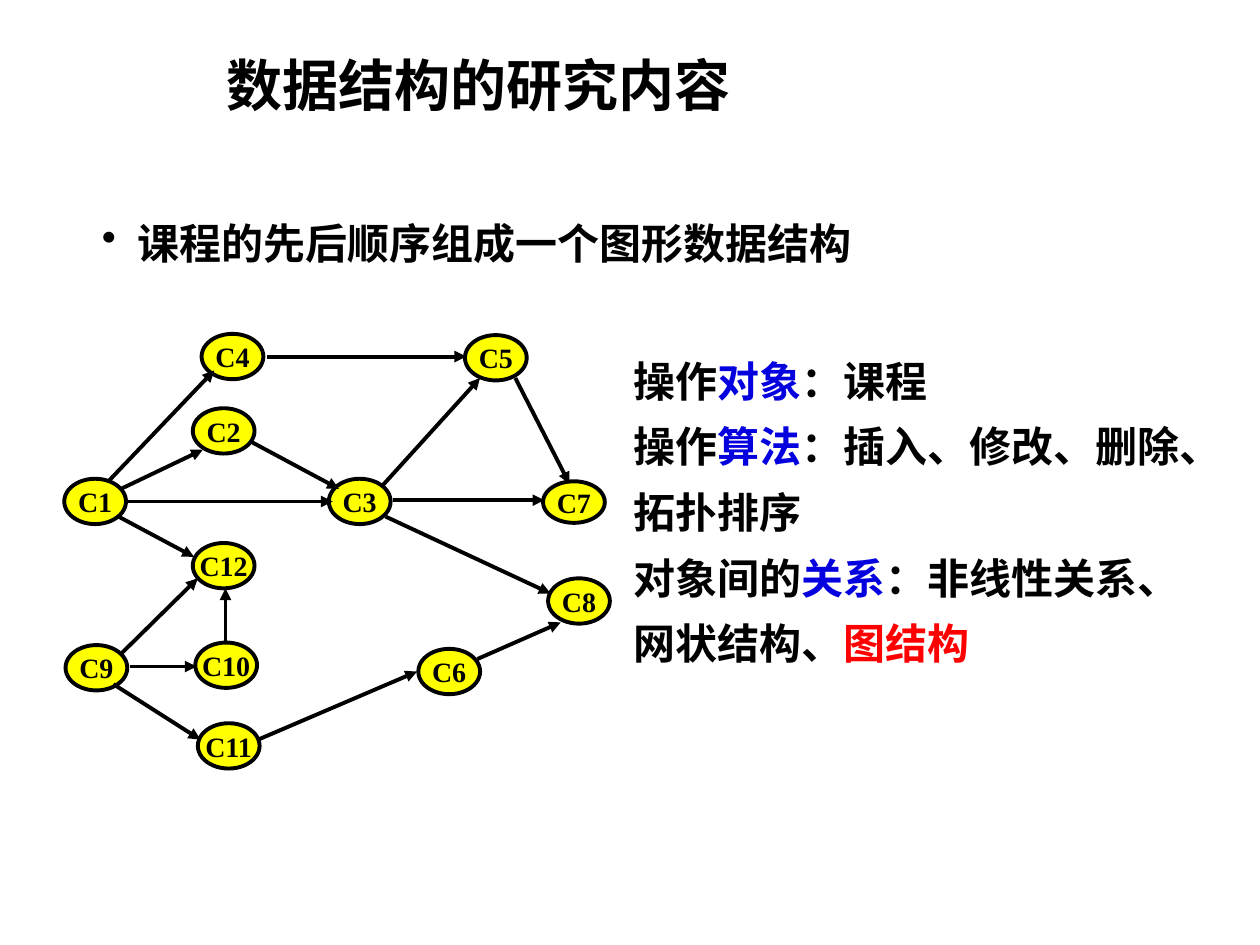
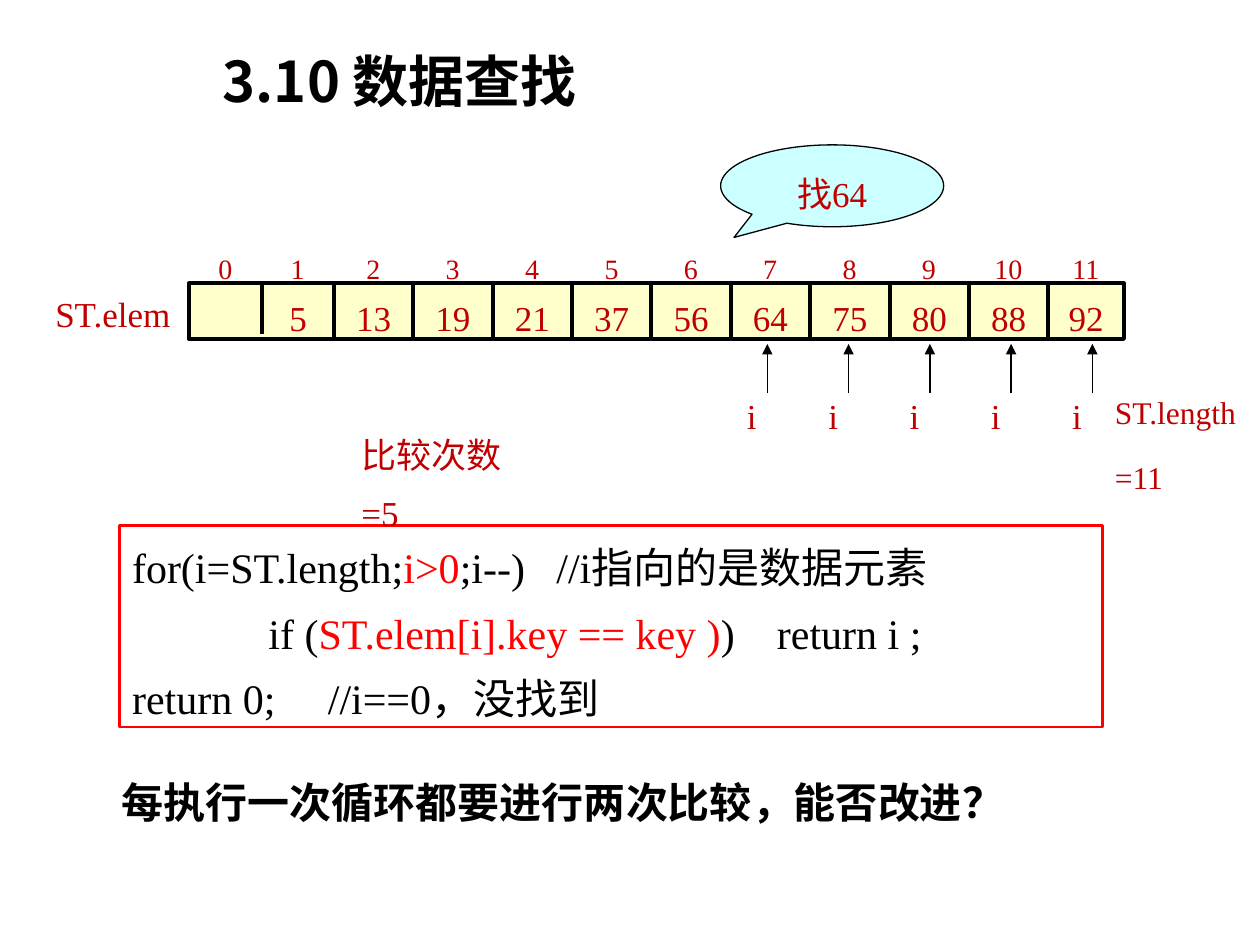
from itertools import pairwise

from lxml import etree
from pptx import Presentation
from pptx.dml.color import RGBColor
from pptx.enum.shapes import MSO_CONNECTOR, MSO_SHAPE
from pptx.enum.text import MSO_ANCHOR, PP_ALIGN
from pptx.oxml.ns import qn
from pptx.util import Inches, Pt

ELLIPSE = MSO_SHAPE.OVAL
RECTANGLE = MSO_SHAPE.RECTANGLE
CALLOUT = MSO_SHAPE.OVAL_CALLOUT
STRAIGHT = MSO_CONNECTOR.STRAIGHT
TOP, MIDDLE = MSO_ANCHOR.TOP, MSO_ANCHOR.MIDDLE
LEFT, CENTER = PP_ALIGN.LEFT, PP_ALIGN.CENTER

COLORS = {
    "black": "000000",
    "yellow": "FFFF00",
    "blue": "0500DE",
    "red": "FF0000",
    "dark_red": "C00000",
    "cream": "FFFFCC",
    "cyan": "CCFFFF",
}
SERIF = "Times New Roman"
TITLE = {"size": Pt(32), "name": "Noto Sans CJK SC", "bold": True}
HEADING = {"size": Pt(24), "name": "Arial", "bold": True}
NODE = {"size": Pt(16), "name": SERIF, "bold": True}
STATEMENT = {"size": Pt(24), "name": SERIF, "bold": True}
CODE = {"size": Pt(24), "name": SERIF, "bold": False}
INDEX = {"size": Pt(16), "name": SERIF, "bold": False}
VALUE = {"size": Pt(20), "name": SERIF, "bold": False}
LENGTH = {"size": Pt(18), "name": SERIF, "bold": False}

COURSES = {
    "C1": (0.51, 3.8), "C2": (1.53, 3.24), "C3": (2.61, 3.8),
    "C4": (1.6, 2.65), "C5": (3.69, 2.66), "C6": (3.32, 5.15),
    "C7": (4.31, 3.82), "C8": (4.35, 4.59), "C9": (0.52, 5.12),
    "C10": (1.55, 5.1), "C11": (1.57, 5.74), "C12": (1.53, 4.31),
}
PREREQUISITES = [
    (1.01, 3.98, 2.64, 3.98), (0.96, 3.88, 1.61, 3.57),
    (2, 3.51, 2.69, 3.88), (0.87, 3.81, 1.7, 2.94),
    (2.12, 2.83, 3.7, 2.83), (3.03, 3.86, 3.81, 3),
    (3.12, 3.97, 4.32, 3.97), (4.09, 3, 4.52, 3.84),
    (0.94, 4.1, 1.54, 4.42), (0.96, 5.19, 1.57, 4.59),
    (1.03, 5.29, 1.56, 5.29), (1.79, 5.1, 1.79, 4.67),
    (0.9, 5.43, 1.59, 5.87), (2.05, 5.87, 3.31, 5.33),
    (3.79, 5.23, 4.45, 4.94), (3.06, 4.1, 4.37, 4.71),
]
ELEMENTS = [5, 13, 19, 21, 37, 56, 64, 75, 80, 88, 92]


class SlideBuilder:
    def __init__(self, presentation):
        self.presentation = presentation
        self.slide = None

    def new_slide(self):
        self.slide = self.presentation.slides.add_slide(self.presentation.slide_layouts[6])

    def fill_text(self, shape, paragraphs, style, color="black", align=LEFT, anchor=TOP,
                  wrap=True, spacing=None, before=0, tabs=(), bullet=None):
        frame = shape.text_frame
        frame.word_wrap = wrap
        frame.vertical_anchor = anchor
        for number, runs in enumerate(paragraphs):
            paragraph = frame.add_paragraph() if number else frame.paragraphs[0]
            properties = paragraph._p.get_or_add_pPr()
            if bullet:
                properties.set("marL", str(Inches(0.28)))
                properties.set("indent", str(-Inches(0.28)))
                etree.SubElement(properties, qn("a:buChar"), char=bullet)
            if tabs:
                tab_list = etree.SubElement(properties, qn("a:tabLst"))
                for position in tabs:
                    etree.SubElement(tab_list, qn("a:tab"), pos=str(Inches(position)), algn="ctr")
            paragraph.alignment = align
            if spacing:
                paragraph.line_spacing = spacing
            if number and before:
                paragraph.space_before = Pt(before)
            for text, run_color in runs:
                run = paragraph.add_run()
                run.text = text
                for name, value in style.items():
                    setattr(run.font, name, value)
                run.font.color.rgb = RGBColor.from_string(COLORS[run_color or color])

    def text(self, box, paragraphs, style, **options):
        shape = self.slide.shapes.add_textbox(*map(Inches, box))
        if isinstance(paragraphs, str):
            paragraphs = [[(paragraphs, None)]]
        self.fill_text(shape, paragraphs, style, **options)

    def title(self, box, text, **options):
        self.text(box, text, TITLE, **options)

    def shape(self, kind, box, fill, line="black", width=2.25):
        shape = self.slide.shapes.add_shape(kind, *map(Inches, box))
        shape.shadow.inherit = False
        if fill:
            shape.fill.solid()
            shape.fill.fore_color.rgb = RGBColor.from_string(COLORS[fill])
        else:
            shape.fill.background()
        shape.line.color.rgb = RGBColor.from_string(COLORS[line])
        shape.line.width = Pt(width)
        return shape

    def line(self, ends, width=2.25, arrow=False):
        connector = self.slide.shapes.add_connector(STRAIGHT, *map(Inches, ends))
        connector.line.color.rgb = RGBColor.from_string(COLORS["black"])
        connector.line.width = Pt(width)
        properties = connector._element.spPr
        if arrow:
            etree.SubElement(properties.find(qn("a:ln")), qn("a:tailEnd"), type="triangle")
        etree.SubElement(properties, qn("a:effectLst"))

    def course(self, name, left, top):
        height = 0.33 if name == "C7" else 0.36
        ellipse = self.shape(ELLIPSE, (left, top, 0.49, height), "yellow")
        self.fill_text(ellipse, [[(name, None)]], NODE, align=CENTER, anchor=MIDDLE, wrap=False)

    def pointer(self, x):
        self.line((x, 3.12, x, 2.73), width=0.75, arrow=True)
        self.text((x - 0.26, 2.98, 0.28, 0.49), "i", VALUE, color="dark_red",
                  wrap=False, spacing=1.3)


def build_course_graph(builder):
    builder.new_slide()
    for name, (left, top) in COURSES.items():
        builder.course(name, left, top)
    for ends in PREREQUISITES:
        builder.line(ends, arrow=True)
    builder.text((0.71, 1.68, 9, 0.46), "课程的先后顺序组成一个图形数据结构", HEADING, bullet="•")
    builder.text((4.93, 2.65, 4.85, 2.73), [
        [("操作", None), ("对象", "blue"), ("：课程", None)],
        [("操作", None), ("算法", "blue"), ("：插入、修改、删除、拓扑排序", None)],
        [("对象间的", None), ("关系", "blue"), ("：非线性关系、网状结构、", None),
         ("图结构", "red")],
    ], STATEMENT, spacing=Pt(37.5))
    builder.title((1.7, 0.35, 6.06, 0.64), "数据结构的研究内容")


def build_search(builder):
    builder.new_slide()
    left, right = 1.5, 8.92
    dividers = [2.08] + [2.65 + 0.63 * number for number in range(10)]
    centers = [(start + end) / 2 for start, end in pairwise([left, *dividers, right])]

    indexes = "".join(f"\t{number}" for number in range(len(centers)))
    builder.text((1.58, 1.87, 7.37, 0.42), indexes, INDEX, color="dark_red", spacing=1.3,
                 tabs=[center - 1.68 for center in centers])
    array = builder.shape(RECTANGLE, (left, 2.25, right - left, 0.44), "cream")
    array.text_frame.margin_left = array.text_frame.margin_right = 0
    values = "".join(f"\t{value}" for value in ELEMENTS)
    builder.fill_text(array, [[(values, None)]], VALUE, color="dark_red", anchor=MIDDLE,
                      spacing=1.3, tabs=[center - left for center in centers[1:]])
    for x in dividers:
        top, bottom = (2.23, 2.65) if x == dividers[0] else (2.25, 2.69)
        builder.line((x, top, x, bottom))
    builder.text((0.34, 2.17, 1.58, 0.49), "ST.elem", VALUE, color="dark_red", spacing=1.3)

    callout = builder.shape(CALLOUT, (5.72, 1.15, 1.77, 0.65), "cyan", width=0.75)
    callout.adjustments[0], callout.adjustments[1] = -0.44, 0.63
    builder.fill_text(callout, [[("找64", None)]], VALUE, color="dark_red", align=CENTER,
                      anchor=MIDDLE, wrap=False, spacing=Pt(33))
    for number in range(5):
        builder.pointer(6.09 + 0.645 * number)
    builder.text((8.75, 2.98, 1.25, 1.04), [[("ST.length", None)], [("=11", None)]], LENGTH,
                 color="dark_red", spacing=1.3, before=9)

    code = builder.shape(RECTANGLE, (0.95, 4.17, 7.8, 1.6), None, line="red", width=1.5)
    code.text_frame.margin_top = Inches(0.09)
    builder.fill_text(code, [
        [("for(i=ST.length;", None), ("i>0", "red"), (";i--)   //i指向的是数据元素", None)],
        [("             if (", None), ("ST.elem[i].key == key )", "red"),
         (")    return i ;", None)],
        [("return 0;     //i==0，没找到", None)],
    ], CODE, spacing=Pt(31.5), before=6)
    builder.title((1.61, 0.32, 3.13, 0.64), "3.10 数据查找", align=CENTER, wrap=False)
    builder.text((2.77, 3.27, 1.6, 0.49), "比较次数=5", VALUE, color="dark_red", spacing=Pt(33))
    builder.text((0.87, 6.11, 8.97, 0.51), "每执行一次循环都要进行两次比较，能否改进？", HEADING)


def main():
    presentation = Presentation()
    presentation.slide_width = Inches(10)
    presentation.slide_height = Inches(7.5)
    builder = SlideBuilder(presentation)
    build_course_graph(builder)
    build_search(builder)
    presentation.save("out.pptx")


if __name__ == "__main__":
    main()
